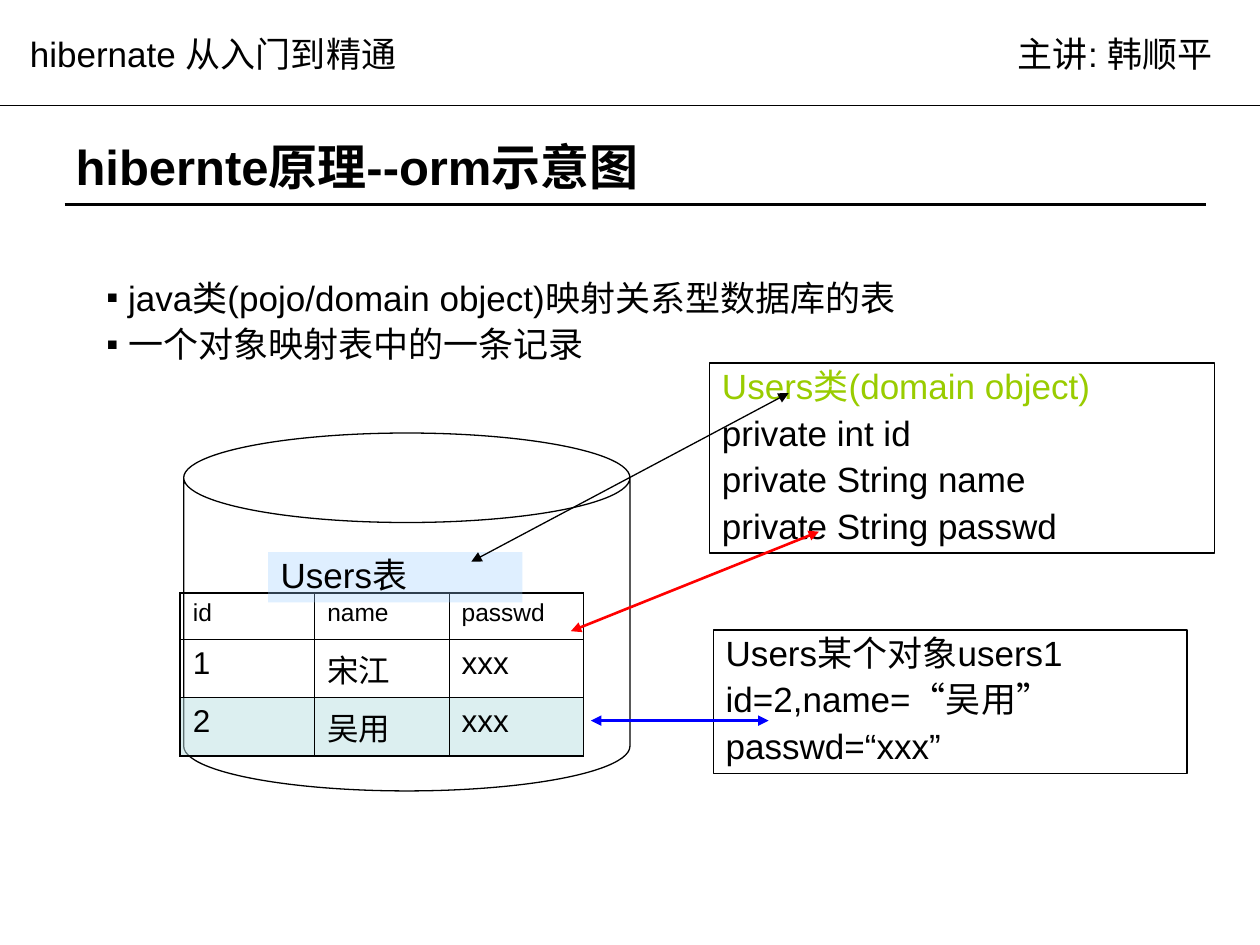
from lxml import etree
from pptx import Presentation
from pptx import util as u
from pptx.dml import color
from pptx.enum import shapes, text
from pptx.oxml import ns

COLORS = {
    "black": "000000",
    "green": "99CC00",
    "red": "FF0000",
    "blue": "0000FF",
    "label": "99CCFF",
    "record": "BBE0E3",
}


class SlideBuilder:
    font = "Arial"
    size = 20

    def __init__(self, page):
        self.page = page

    def rgb(self, name):
        return color.RGBColor.from_string(COLORS[name])

    def place(self, shape, left, top, width, height):
        shape.left, shape.top = u.Pt(left), u.Pt(top)
        shape.width, shape.height = u.Pt(width), u.Pt(height)

    def format_para(self, para, size=None, ink="black", bold=False):
        para.alignment = text.PP_ALIGN.LEFT
        for span in para.runs:
            span.font.name = self.font
            span.font.size = u.Pt(size or self.size)
            span.font.bold = bold
            span.font.color.rgb = self.rgb(ink)

    def tint(self, target, element, name, opacity):
        target.fill.solid()
        target.fill.fore_color.rgb = self.rgb(name)
        shade = next(element.iter(ns.qn("a:srgbClr")))
        etree.SubElement(shade, ns.qn("a:alpha"), val=str(opacity * 1000))

    def title(self, wording, *bounds):
        box = self.page.shapes.title
        self.place(box, *bounds)
        box.text_frame.text = wording
        box.text_frame.vertical_anchor = text.MSO_ANCHOR.MIDDLE
        self.format_para(box.text_frame.paragraphs[0], 28, bold=True)

    def space_lines(self, para):
        para.line_spacing = 0.9
        para.space_before = u.Pt(5)

    def bullets(self, lines, *bounds):
        box = self.page.placeholders[1]
        self.place(box, *bounds)
        box.text_frame.text = "\n".join(lines)
        box.text_frame.auto_size = text.MSO_AUTO_SIZE.NONE
        for para in box.text_frame.paragraphs:
            self.format_para(para)
            self.space_lines(para)
            properties = para._p.get_or_add_pPr()
            properties.set("marL", str(u.Pt(12)))
            properties.set("indent", str(u.Pt(-12)))
            etree.SubElement(properties, ns.qn("a:buSzPct"), val="50000")
            etree.SubElement(properties, ns.qn("a:buFont"), typeface=self.font)
            etree.SubElement(properties, ns.qn("a:buChar"), char="■")

    def set_lines(self, box, lines, first_ink="black", spaced=True):
        frame = box.text_frame
        frame.text = "\n".join(lines)
        frame.word_wrap = True
        frame.margin_right = 0
        frame.vertical_anchor = text.MSO_ANCHOR.TOP
        for index, para in enumerate(frame.paragraphs):
            self.format_para(para, ink="black" if index else first_ink)
            if spaced:
                self.space_lines(para)

    def label(self, wording, *bounds):
        box = self.page.shapes.add_textbox(*map(u.Pt, bounds))
        self.set_lines(box, [wording], spaced=False)

    def shape(self, kind, *bounds, outline=True):
        box = self.page.shapes.add_shape(kind, *map(u.Pt, bounds))
        box.shadow.inherit = False
        box.fill.background()
        if outline:
            box.line.color.rgb = self.rgb("black")
            box.line.width = u.Pt(0.75)
        else:
            box.line.fill.background()
        return box

    def panel(self, lines, *bounds, first_ink="black", shade=None):
        box = self.shape(shapes.MSO_SHAPE.RECTANGLE, *bounds, outline=not shade)
        if shade:
            self.tint(box, box._element, shade, 31)
        self.set_lines(box, lines, first_ink)

    def line(self, *ends, ink="black", weight=0.75, arrows=False):
        connector = self.page.shapes.add_connector(
            shapes.MSO_CONNECTOR.STRAIGHT, *map(u.Pt, ends))
        connector.line.color.rgb = self.rgb(ink)
        connector.line.width = u.Pt(weight)
        properties = connector._element.spPr
        etree.SubElement(properties, ns.qn("a:effectLst"))
        if arrows:
            stroke = properties.find(ns.qn("a:ln"))
            for end in ("a:headEnd", "a:tailEnd"):
                etree.SubElement(stroke, ns.qn(end), type="triangle")

    def borders(self, cell, outer):
        properties = cell._tc.get_or_add_tcPr()
        for index, side in enumerate("LRTB"):
            weight = 1.08 if side in outer else 0.45
            stroke = etree.Element(ns.qn(f"a:ln{side}"), w=str(u.Pt(weight)))
            solid = etree.SubElement(stroke, ns.qn("a:solidFill"))
            etree.SubElement(solid, ns.qn("a:srgbClr"), val=COLORS["black"])
            properties.insert(index, stroke)

    def table(self, rows, heights, *bounds):
        last_row, last_column = len(rows) - 1, len(rows[0]) - 1
        grid = self.page.shapes.add_table(
            len(rows), len(rows[0]), *map(u.Pt, bounds)).table
        grid.first_row = grid.horz_banding = False
        for r, (values, height) in enumerate(zip(rows, heights)):
            grid.rows[r].height = u.Pt(height)
            for c, value in enumerate(values):
                cell = grid.cell(r, c)
                cell.text_frame.text = value
                para = cell.text_frame.paragraphs[0]
                self.format_para(para, 18 if r else 14)
                para.space_before = u.Pt(4.5 if r else 3.5)
                if r == last_row:
                    self.tint(cell, cell._tc.tcPr, "record", 50)
                else:
                    cell.fill.background()
                edges = {"L": c == 0, "R": c == last_column,
                         "T": r == 0, "B": r == last_row}
                self.borders(cell, [side for side in edges if edges[side]])


def main():
    deck = Presentation()
    deck.slide_width, deck.slide_height = u.Pt(720), u.Pt(540)
    slide = SlideBuilder(deck.slides.add_slide(deck.slide_layouts[1]))

    slide.title("hibernte原理--orm示意图", 36, 50, 648, 90)
    slide.bullets(["java类(pojo/domain object)映射关系型数据库的表",
                   "一个对象映射表中的一条记录"], 54, 157, 584, 82)

    slide.shape(shapes.MSO_SHAPE.CAN, 105, 247.5, 255, 204.5)
    slide.table([["id", "name", "passwd"],
                 ["1", "宋江", "xxx"],
                 ["2", "吴用", "xxx"]],
                [26.5, 31.5, 31.5], 103, 339, 230.4, 89.5)

    slide.panel(["Users类(domain object)", "private int id",
                 "private String name", "private String passwd"],
                405.5, 207.5, 288.5, 108.5, first_ink="green")
    slide.panel(["Users表"], 153.3, 315.5, 145.2, 28.8, shade="label")
    slide.line(269.3, 321, 450.7, 224.6, arrows=True)
    slide.line(326.2, 360.7, 468, 303.8, ink="red", weight=1.5, arrows=True)
    slide.panel(["Users某个对象users1", "id=2,name=“吴用”", "passwd=“xxx”"],
                407.6, 360, 270.8, 82)
    slide.line(337.7, 411.8, 439.2, 411.8, ink="blue", weight=1.5, arrows=True)

    slide.line(0, 60.3, 720, 60.3)
    slide.label("主讲: 韩顺平", 574.6, 15.2, 135.4, 31.5)
    slide.label("hibernate 从入门到精通", 10, 15.2, 228.2, 31.5)
    slide.line(36.9, 116.8, 689, 116.8, weight=2)

    deck.save("out.pptx")


if __name__ == "__main__":
    main()
